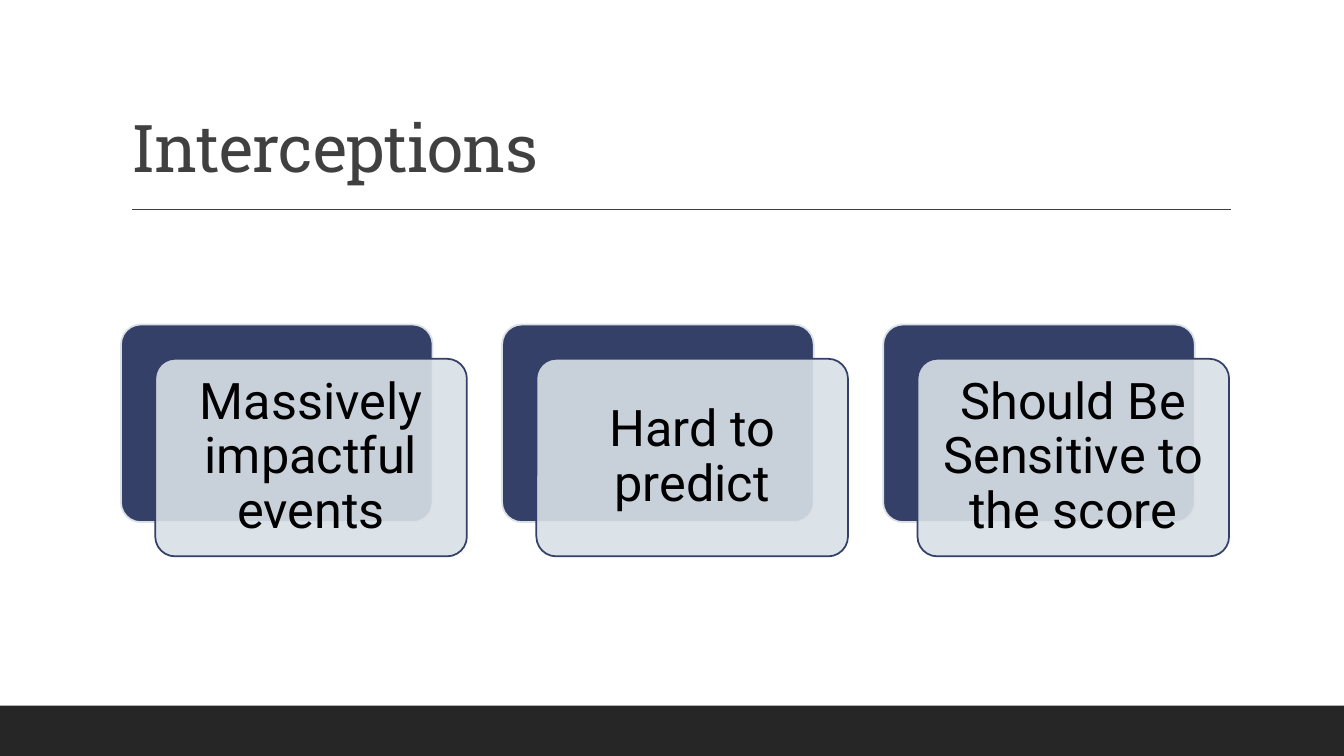
import pptx
import pptx.util
import pptx.dml.color
import pptx.enum.shapes
import pptx.enum.text
import pptx.oxml
import pptx.oxml.ns

TITLE = "Interceptions"
CARDS = [
    "Massively impactful events",
    "Hard to predict",
    "Should Be Sensitive to the score",
]
NAVY, MIST, GREY, DARK, BLACK = "344068", "D9E0E6", "404040", "262626", "000000"

WIDTH, HEIGHT = 13.33, 7.5
CARD_LEFT, CARD_TOP = 1.2, 3.22
CARD_WIDTH, CARD_HEIGHT = 3.09, 1.96
CARD_STEP = 3.78
FRONT_SHIFT = 0.34
FOOTER_HEIGHT = HEIGHT / 15

SHAPES = pptx.enum.shapes.MSO_SHAPE
ALIGN = pptx.enum.text.PP_ALIGN
ANCHOR = pptx.enum.text.MSO_ANCHOR
inch = pptx.util.Inches


def colour(value):
    return pptx.dml.color.RGBColor.from_string(value)


def add_block(page, kind, box, fill, line=None):
    """Add a filled shape without shadow; box is left, top, width, height."""
    shape = page.shapes.add_shape(kind, *map(inch, box))
    shape.shadow.inherit = False
    shape.fill.solid()
    shape.fill.fore_color.rgb = colour(fill)
    if line:
        shape.line.color.rgb = colour(line)
        shape.line.width = pptx.util.Pt(1.25)
    else:
        shape.line.fill.background()
    return shape


def write(shape, text, align, anchor, inset, font, size, ink):
    frame = shape.text_frame
    frame.text = text
    sides, gap = ("left", "right", "top", "bottom"), inset
    settings = {f"margin_{side}": inch(gap) for side in sides[:2]}
    settings |= {f"margin_{side}": inch(min(gap, 0.15) if gap > 0.1 else 0.05)
                 for side in sides[2:]}
    settings |= {"word_wrap": True, "vertical_anchor": anchor,
                 "auto_size": pptx.enum.text.MSO_AUTO_SIZE.NONE}
    for name, value in settings.items():
        setattr(frame, name, value)
    para = frame.paragraphs[0]
    for name, value in {"alignment": align, "line_spacing": 0.9}.items():
        setattr(para, name, value)
    span = para.runs[0]
    for name, value in {"name": font, "size": pptx.util.Pt(size)}.items():
        setattr(span.font, name, value)
    span.font.color.rgb = colour(ink)
    return span


def set_opacity(shape, percent):
    tint = shape.fill._xPr.find(".//" + pptx.oxml.ns.qn("a:srgbClr"))
    alpha = pptx.oxml.parse_xml(
        f'<a:alpha {pptx.oxml.ns.nsdecls("a")} val="{percent * 1000}"/>')
    tint.append(alpha)


def add_title(page):
    title = page.shapes.title
    place = {"left": 1.2, "top": 0.31, "width": 11, "height": 1.59}
    for name, value in place.items():
        setattr(title, name, inch(value))
    span = write(title, TITLE, ALIGN.LEFT, ANCHOR.BOTTOM, 0.1,
                 "Roboto Slab", 47, GREY)
    span.font._element.set("spc", "-50")


def add_rule(page):
    rule = page.shapes.add_connector(
        pptx.enum.shapes.MSO_CONNECTOR.STRAIGHT,
        *map(inch, (1.31, 2.08, 12.21, 2.08)))
    rule.line.color.rgb = colour(GREY)
    rule.line.width = pptx.util.Pt(1)
    rule._element.spPr.append(pptx.oxml.parse_xml(
        f'<a:effectLst {pptx.oxml.ns.nsdecls("a")}/>'))


def add_card(page, column, text):
    left = CARD_LEFT + column * CARD_STEP
    layers = []
    for shift, fill, line in ((0, NAVY, MIST), (FRONT_SHIFT, MIST, NAVY)):
        box = (left + shift, CARD_TOP + shift, CARD_WIDTH, CARD_HEIGHT)
        layer = add_block(page, SHAPES.ROUNDED_RECTANGLE, box, fill, line)
        layer.adjustments[0] = 0.1
        layers.append(layer)
    front = layers[-1]
    set_opacity(front, 90)
    write(front, text, ALIGN.CENTER, ANCHOR.MIDDLE, 0.15, "Roboto", 36, BLACK)


def main():
    deck = pptx.Presentation()
    deck.slide_width, deck.slide_height = inch(WIDTH), inch(HEIGHT)
    page = deck.slides.add_slide(deck.slide_layouts[5])
    add_title(page)
    add_rule(page)
    footer = (0, HEIGHT - FOOTER_HEIGHT, WIDTH, FOOTER_HEIGHT)
    add_block(page, SHAPES.RECTANGLE, footer, DARK)
    for column, text in enumerate(CARDS):
        add_card(page, column, text)
    deck.save("out.pptx")


if __name__ == "__main__":
    main()
